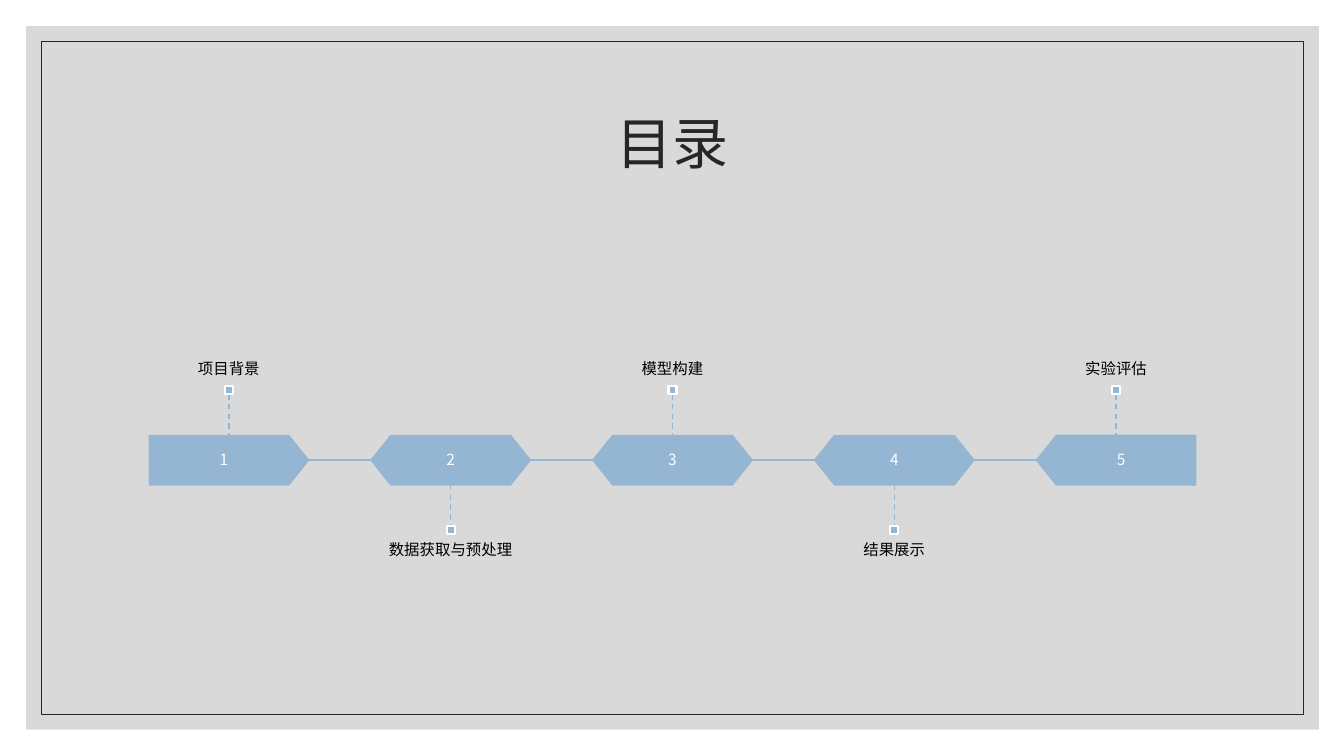
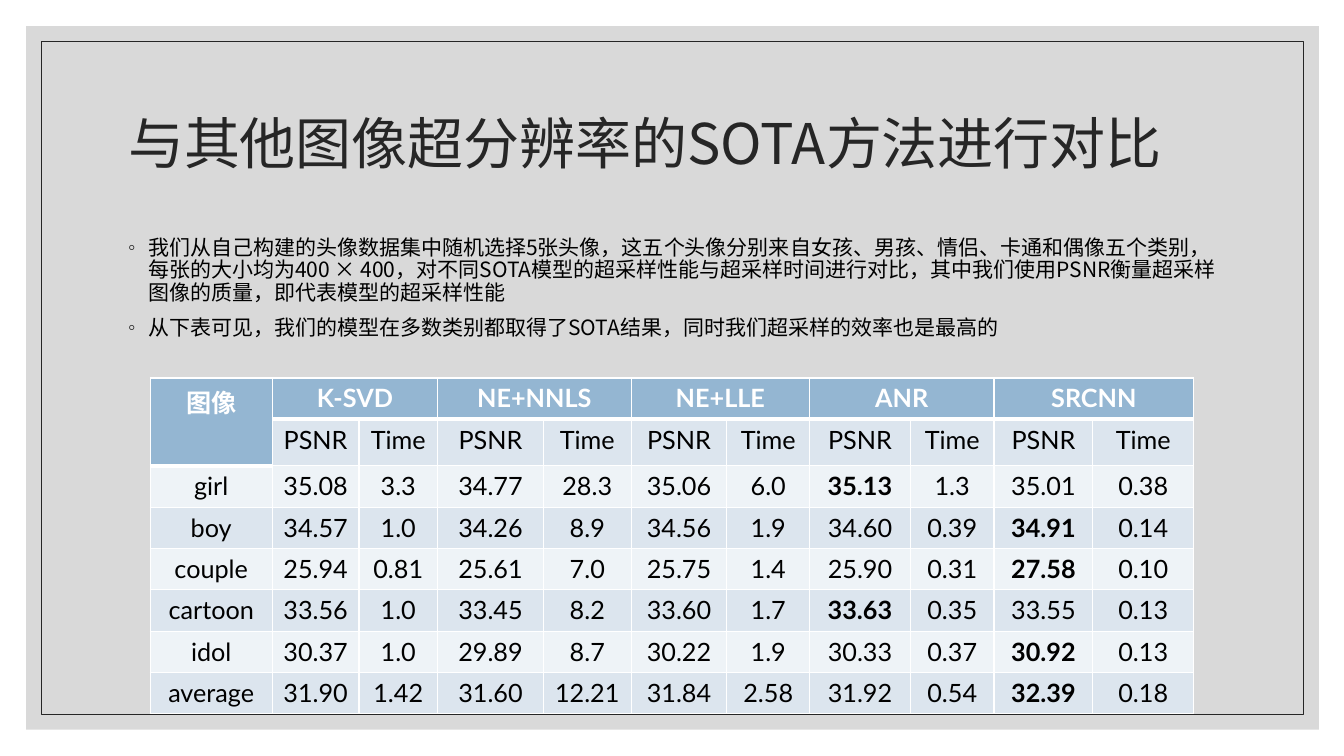
"""Build a contents timeline and a comparison table of super-resolution methods."""
from lxml.etree import SubElement
from pptx import Presentation
from pptx.dml.color import RGBColor
from pptx.enum.dml import MSO_LINE_DASH_STYLE as DASH
from pptx.enum.shapes import MSO_CONNECTOR, MSO_SHAPE as SHAPE
from pptx.enum.text import MSO_ANCHOR as ANCHOR, MSO_AUTO_SIZE, PP_ALIGN as ALIGN
from pptx.oxml import parse_xml
from pptx.oxml.ns import nsdecls, qn
from pptx.util import Inches, Pt

COLORS = {
    "panel": "D9D9D9",
    "ink": "262626",
    "text": "000000",
    "accent": "94B6D2",
    "white": "FFFFFF",
    "band_dark": "DCE5EE",
    "band_light": "EEF3F7",
}
CJK_FONT = "Noto Sans CJK SC"
TABLE_FONT = "Lato"
TITLE_LAYOUT = 5
CONTENT_LAYOUT = 1

STEPS = ["项目背景", "数据获取与预处理", "模型构建", "结果展示", "实验评估"]
BULLETS = [
    "我们从自己构建的头像数据集中随机选择5张头像，这五个头像分别来自女孩、男孩、情侣、卡通和偶像五个类别，"
    "每张的大小均为400 × 400，对不同SOTA模型的超采样性能与超采样时间进行对比，"
    "其中我们使用PSNR衡量超采样图像的质量，即代表模型的超采样性能",
    "从下表可见，我们的模型在多数类别都取得了SOTA结果，同时我们超采样的效率也是最高的",
]
METHODS = ["K-SVD", "NE+NNLS", "NE+LLE", "ANR", "SRCNN"]
RESULTS = [
    ["girl", "35.08", "3.3", "34.77", "28.3", "35.06", "6.0", "35.13", "1.3", "35.01", "0.38"],
    ["boy", "34.57", "1.0", "34.26", "8.9", "34.56", "1.9", "34.60", "0.39", "34.91", "0.14"],
    ["couple", "25.94", "0.81", "25.61", "7.0", "25.75", "1.4", "25.90", "0.31", "27.58", "0.10"],
    ["cartoon", "33.56", "1.0", "33.45", "8.2", "33.60", "1.7", "33.63", "0.35", "33.55", "0.13"],
    ["idol", "30.37", "1.0", "29.89", "8.7", "30.22", "1.9", "30.33", "0.37", "30.92", "0.13"],
    ["average", "31.90", "1.42", "31.60", "12.21", "31.84", "2.58", "31.92", "0.54", "32.39", "0.18"],
]
COLUMN_WIDTHS = [1.21, 0.86, 0.78, 1.05, 0.87, 0.95, 0.82, 1, 0.83, 0.98, 1]
ROW_HEIGHTS = [0.41, 0.46] + [0.41] * len(RESULTS)


def rgb(name):
    return RGBColor.from_string(COLORS[name])


def write(paragraph, text, size=11, color="text", font=CJK_FONT, bold=False,
          align=ALIGN.CENTER, spacing=0.9, before=0):
    paragraph.alignment = align
    paragraph.line_spacing = spacing
    paragraph.space_before = Pt(before)
    run = paragraph.add_run()
    run.text = text
    run.font.size = Pt(size)
    run.font.bold = bold
    run.font.color.rgb = rgb(color)
    run.font.name = font
    SubElement(run._r.get_or_add_rPr(), qn("a:ea"), typeface=CJK_FONT)


def add_bullet(paragraph, indent=0.2):
    properties = paragraph._p.get_or_add_pPr()
    properties.set("marL", str(Inches(indent)))
    properties.set("indent", str(-Inches(indent)))
    color = SubElement(properties, qn("a:buClr"))
    SubElement(color, qn("a:srgbClr"), val=COLORS["ink"])
    SubElement(properties, qn("a:buChar"), char="◦")


def set_borders(cell, top=1, bottom=1):
    properties = cell._tc.get_or_add_tcPr()
    sides = {"lnL": 1, "lnR": 1, "lnT": top, "lnB": bottom}
    for index, (side, width) in enumerate(sides.items()):
        properties.insert(index, parse_xml(
            f'<a:{side} {nsdecls("a")} w="{Pt(width)}"><a:solidFill>'
            f'<a:srgbClr val="{COLORS["white"]}"/></a:solidFill></a:{side}>'))


class Deck:
    def __init__(self):
        self.presentation = Presentation()
        self.presentation.slide_width = Inches(13.33)
        self.presentation.slide_height = Inches(7.5)
        self.slide = None

    def add_slide(self, layout, title, align):
        self.slide = self.presentation.slides.add_slide(
            self.presentation.slide_layouts[layout])
        panel = self.shape(SHAPE.RECTANGLE, 0.26, 0.26, 12.82, 6.98, fill="panel")
        frame = self.shape(SHAPE.RECTANGLE, 0.41, 0.41, 12.52, 6.68, line="ink", width=0.5)
        for index, backdrop in enumerate((panel, frame), start=2):
            self.slide.shapes.element.insert(index, backdrop.element)
        text_frame = self.placeholder(self.slide.shapes.title, 0.7, 1.5, ANCHOR.MIDDLE)
        write(text_frame.paragraphs[0], title, size=40, color="ink", align=align)

    def placeholder(self, shape, top, height, anchor):
        shape.left, shape.top = Inches(1.17), Inches(top)
        shape.width, shape.height = Inches(11), Inches(height)
        shape.text_frame.auto_size = MSO_AUTO_SIZE.NONE
        shape.text_frame.vertical_anchor = anchor
        return shape.text_frame

    def bullets(self, items):
        text_frame = self.placeholder(self.slide.placeholders[1], 2.3, 4.21, ANCHOR.TOP)
        for index, item in enumerate(items):
            paragraph = text_frame.add_paragraph() if index else text_frame.paragraphs[0]
            add_bullet(paragraph)
            write(paragraph, item, size=15, align=ALIGN.LEFT, before=9 if index else 0)

    def shape(self, kind, left, top, width_in, height, fill=None, line=None, width=1):
        shape = self.slide.shapes.add_shape(
            kind, Inches(left), Inches(top), Inches(width_in), Inches(height))
        shape.shadow.inherit = False
        for part, color in ((shape.fill, fill), (shape.line.fill, line)):
            if color:
                part.solid()
                part.fore_color.rgb = rgb(color)
            else:
                part.background()
        if line:
            shape.line.width = Pt(width)
        return shape

    def text(self, text, left, top, width, height, anchor, margin=0.0, **text_format):
        box = self.slide.shapes.add_textbox(
            Inches(left), Inches(top), Inches(width), Inches(height))
        text_frame = box.text_frame
        text_frame.word_wrap = True
        text_frame.vertical_anchor = anchor
        text_frame.margin_left = text_frame.margin_right = 0
        text_frame.margin_top = text_frame.margin_bottom = Inches(margin)
        write(text_frame.paragraphs[0], text, **text_format)

    def line(self, start_x, start_y, end_x, end_y, dash=None):
        connector = self.slide.shapes.add_connector(
            MSO_CONNECTOR.STRAIGHT, Inches(start_x), Inches(start_y),
            Inches(end_x), Inches(end_y))
        connector.line.color.rgb = rgb("accent")
        connector.line.width = Pt(1)
        if dash:
            connector.line.dash_style = dash
        SubElement(connector.element.spPr, qn("a:effectLst"))

    def table(self, rows, left, top, column_widths, row_heights):
        table = self.slide.shapes.add_table(
            len(rows), len(column_widths), Inches(left), Inches(top),
            Inches(sum(column_widths)), Inches(sum(row_heights))).table
        for column, width in zip(table.columns, column_widths):
            column.width = Inches(width)
        for row, height in zip(table.rows, row_heights):
            row.height = Inches(height)
        table.cell(0, 0).merge(table.cell(1, 0))
        for column in range(1, len(column_widths), 2):
            table.cell(0, column).merge(table.cell(0, column + 1))
        for row_index, values in enumerate(rows):
            best = max(values[1:], key=float) if row_index > 1 else None
            for column_index, value in enumerate(values):
                cell = table.cell(row_index, column_index)
                header = row_index == 0 or (row_index == 1 and column_index == 0)
                band = "band_dark" if row_index % 2 else "band_light"
                cell.fill.solid()
                cell.fill.fore_color.rgb = rgb("accent" if header else band)
                set_borders(cell, top=3 if row_index == 1 else 1, bottom=3 if header else 1)
                if value:
                    write(cell.text_frame.paragraphs[0], value, size=18, font=TABLE_FONT,
                          color="white" if header else "text",
                          bold=header or value == best, spacing=1.0)


def build_contents(deck):
    deck.add_slide(TITLE_LAYOUT, "目录", ALIGN.CENTER)
    width, height, pitch, top = 1.58, 0.49, 2.2, 4.32
    marker, stem, label_width, label_height = 0.08, 0.41, 2.2, 1.3
    last = len(STEPS) - 1
    for index, step in enumerate(STEPS):
        left = 1.48 + index * pitch
        center = left + width / 2
        is_end = index in (0, last)
        block = deck.shape(SHAPE.PENTAGON if is_end else SHAPE.HEXAGON,
                           left, top, width, height, fill="accent", line="accent")
        block.adjustments[0] = 0.4
        if index == last:
            block.rotation = 180
        number_shift = {0: -0.05, last: 0.05}.get(index, 0)
        deck.text(str(index + 1), left + number_shift, top, width, height,
                  ANCHOR.MIDDLE, color="white")
        if index < last:
            deck.line(left + width, top + height / 2, left + pitch, top + height / 2)
        if index % 2:
            stem_start, stem_end = top + height, top + height + stem
            marker_top = stem_end
            label_top, anchor = marker_top + marker, ANCHOR.TOP
        else:
            stem_start, stem_end = top - stem, top
            marker_top = stem_start - marker
            label_top, anchor = marker_top - label_height, ANCHOR.BOTTOM
        deck.line(center, stem_start, center, stem_end, dash=DASH.DASH)
        deck.shape(SHAPE.RECTANGLE, center - marker / 2, marker_top, marker, marker,
                   fill="accent", line="white", width=1.5)
        deck.text(step, center - label_width / 2, label_top, label_width, label_height,
                  anchor, margin=0.11)


def build_comparison(deck):
    deck.add_slide(CONTENT_LAYOUT, "与其他图像超分辨率的SOTA方法进行对比", ALIGN.LEFT)
    deck.bullets(BULLETS)
    method_row = ["图像"]
    for method in METHODS:
        method_row += [method, ""]
    measure_row = [""] + ["PSNR", "Time"] * len(METHODS)
    deck.table([method_row, measure_row] + RESULTS, 1.49, 3.75, COLUMN_WIDTHS, ROW_HEIGHTS)


def main():
    deck = Deck()
    build_contents(deck)
    build_comparison(deck)
    deck.presentation.save("out.pptx")


if __name__ == "__main__":
    main()
